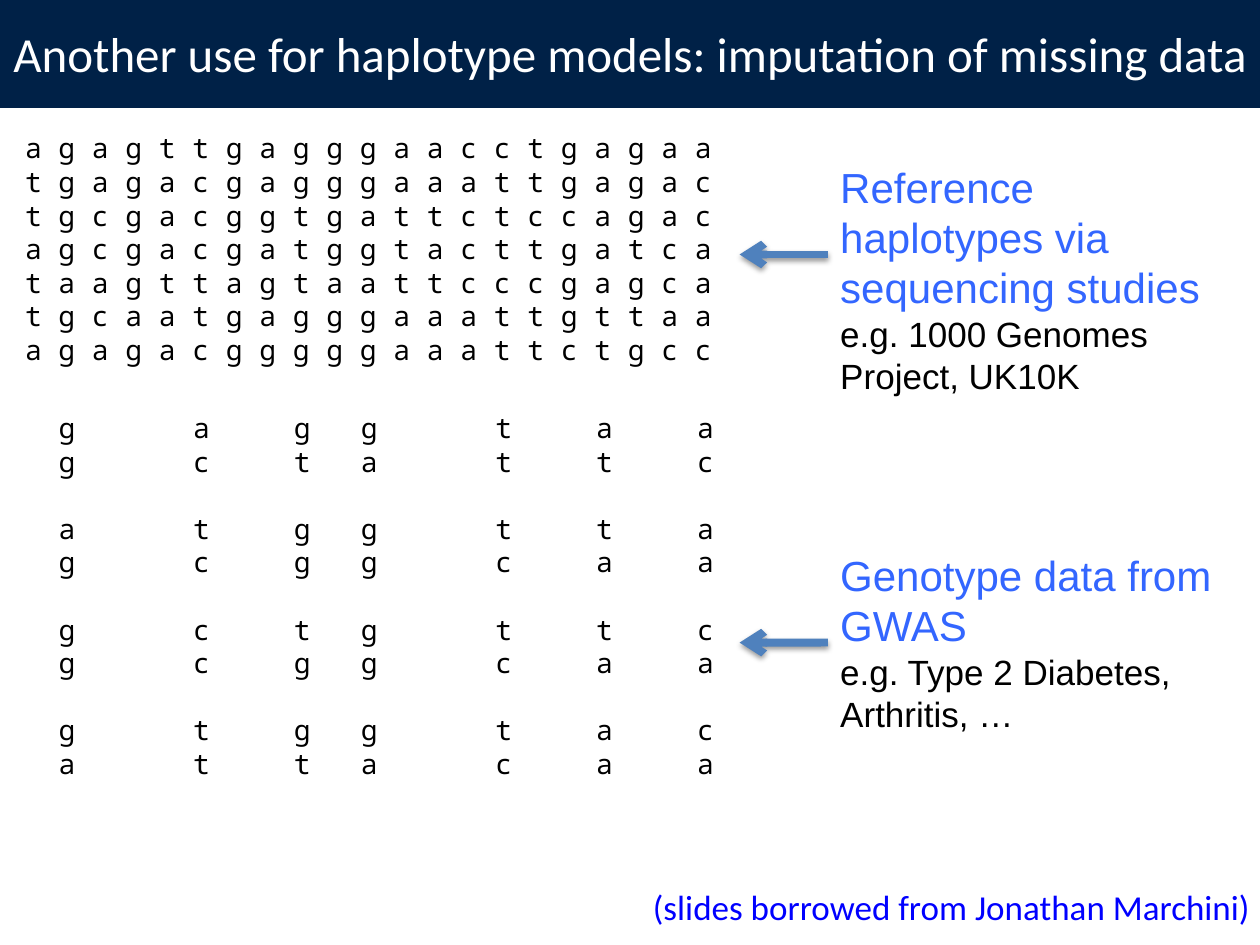
"""Build a slide on imputing missing genotypes from reference haplotypes."""
from lxml.etree import SubElement
from pptx import Presentation
from pptx.dml.color import RGBColor
from pptx.enum.shapes import MSO_CONNECTOR
from pptx.enum.text import MSO_ANCHOR, MSO_AUTO_SIZE, PP_ALIGN
from pptx.oxml.ns import qn
from pptx.util import Inches, Pt

NAVY = RGBColor(0x00, 0x21, 0x47)
WHITE = RGBColor(0xFF, 0xFF, 0xFF)
BLACK = RGBColor(0x00, 0x00, 0x00)
SKY = RGBColor(0x33, 0x66, 0xFF)
STEEL = RGBColor(0x4F, 0x81, 0xBD)
BLUE = RGBColor(0x00, 0x00, 0xFF)
MONO = "Noto Sans Mono"

TITLE = "Another use for haplotype models: imputation of missing data"
CREDIT = "(slides borrowed from Jonathan Marchini)"
HAPLOTYPES = [
    "agagttgagggaacctgagaa",
    "tgagacgagggaaattgagac",
    "tgcgacggtgattctccagac",
    "agcgacgatggtacttgatca",
    "taagttagtaattcccgagca",
    "tgcaatgagggaaattgttaa",
    "agagacgggggaaattctgcc",
]
TYPED_SITES = [1, 5, 8, 10, 14, 17, 20]
GENOTYPES = [
    ("gaggtaa", "gctattc"),
    ("atggtta", "gcggcaa"),
    ("gctgttc", "gcggcaa"),
    ("gtggtac", "attacaa"),
]
NOTES = [
    (1.23, 1.99, "Reference haplotypes via sequencing studies", "e.g. 1000 Genomes Project, UK10K"),
    (4.31, 1.58, "Genotype data from GWAS", "e.g. Type 2 Diabetes, Arthritis, …"),
]
SITE_PITCH = 16 * 0.6 * 2 / 72
PAIR_GAP = Pt(19.2)
NOTE_LEFT, ARROW_TIP, ARROW_DROP = 6.57, 5.87, 0.79


def add_text(paragraph, text, font, size, color):
    run = paragraph.add_run()
    run.text = text
    run.font.name, run.font.size = font, Pt(size)
    run.font.color.rgb = color


def add_box(slide, left, top, width, height, lines):
    box = slide.shapes.add_textbox(*map(Inches, (left, top, width, height)))
    frame = box.text_frame
    frame.word_wrap = True
    for index, line in enumerate(lines):
        paragraph = frame.add_paragraph() if index else frame.paragraphs[0]
        add_text(paragraph, *line)
    return box


def add_site_tabs(paragraph):
    tabs = SubElement(paragraph._p.get_or_add_pPr(), qn("a:tabLst"))
    for site in TYPED_SITES:
        SubElement(tabs, qn("a:tab"), pos=str(Inches(site * SITE_PITCH)), algn="l")


def add_arrow(slide, y):
    arrow = slide.shapes.add_connector(
        MSO_CONNECTOR.STRAIGHT, Inches(NOTE_LEFT), Inches(y), Inches(ARROW_TIP), Inches(y))
    arrow.line.color.rgb = STEEL
    arrow.line.width = Pt(4.5)
    SubElement(arrow.line._get_or_add_ln(), qn("a:tailEnd"), type="arrow")
    effects = SubElement(arrow._element.spPr, qn("a:effectLst"))
    shadow = SubElement(effects, qn("a:outerShdw"), blurRad=str(Pt(3.1)), dist=str(Pt(1.6)),
                        dir="5400000", rotWithShape="0")
    shade = SubElement(shadow, qn("a:srgbClr"), val=str(BLACK))
    SubElement(shade, qn("a:alpha"), val="38000")
    return arrow


def add_title(slide):
    title = slide.shapes.title
    title.left, title.top, title.width, title.height = map(Inches, (0, 0, 10, 0.84))
    title.fill.solid()
    title.fill.fore_color.rgb = NAVY
    title.line.color.rgb = NAVY
    title.line.width = Pt(2)
    frame = title.text_frame
    frame.auto_size = MSO_AUTO_SIZE.NONE
    frame.vertical_anchor = MSO_ANCHOR.MIDDLE
    frame.margin_left = frame.margin_right = Inches(0.05)
    frame.paragraphs[0].alignment = PP_ALIGN.CENTER
    add_text(frame.paragraphs[0], TITLE, "Calibri", 28, WHITE)


def main():
    presentation = Presentation()
    presentation.slide_width, presentation.slide_height = Inches(10), Inches(7.5)
    slide = presentation.slides.add_slide(presentation.slide_layouts[5])
    add_title(slide)

    add_box(slide, 0.1, 0.99, 5.72, 1.99,
            [(" ".join(haplotype), MONO, 16, BLACK) for haplotype in HAPLOTYPES])
    alleles = [strand for pair in GENOTYPES for strand in pair]
    genotypes = add_box(slide, 0.1, 3.21, 5.72, 3.33,
                        [("\t" + "\t".join(strand), MONO, 16, BLACK) for strand in alleles])
    for index, paragraph in enumerate(genotypes.text_frame.paragraphs):
        add_site_tabs(paragraph)
        if index and index % 2 == 0:
            paragraph.space_before = PAIR_GAP

    for top, height, heading, example in NOTES:
        note = add_box(slide, NOTE_LEFT, top, 3.31, height,
                       [(heading, "Arial", 24, SKY), (example, "Arial", 20, BLACK)])
        arrow = add_arrow(slide, top + ARROW_DROP)
        if height == 2 * ARROW_DROP:
            arrow.begin_connect(note, 1)

    credit = add_box(slide, 0.67, 6.98, 9.35, 0.5, [(CREDIT, "Calibri", 20, BLUE)])
    credit.text_frame.paragraphs[0].alignment = PP_ALIGN.RIGHT
    presentation.save("out.pptx")


if __name__ == "__main__":
    main()
